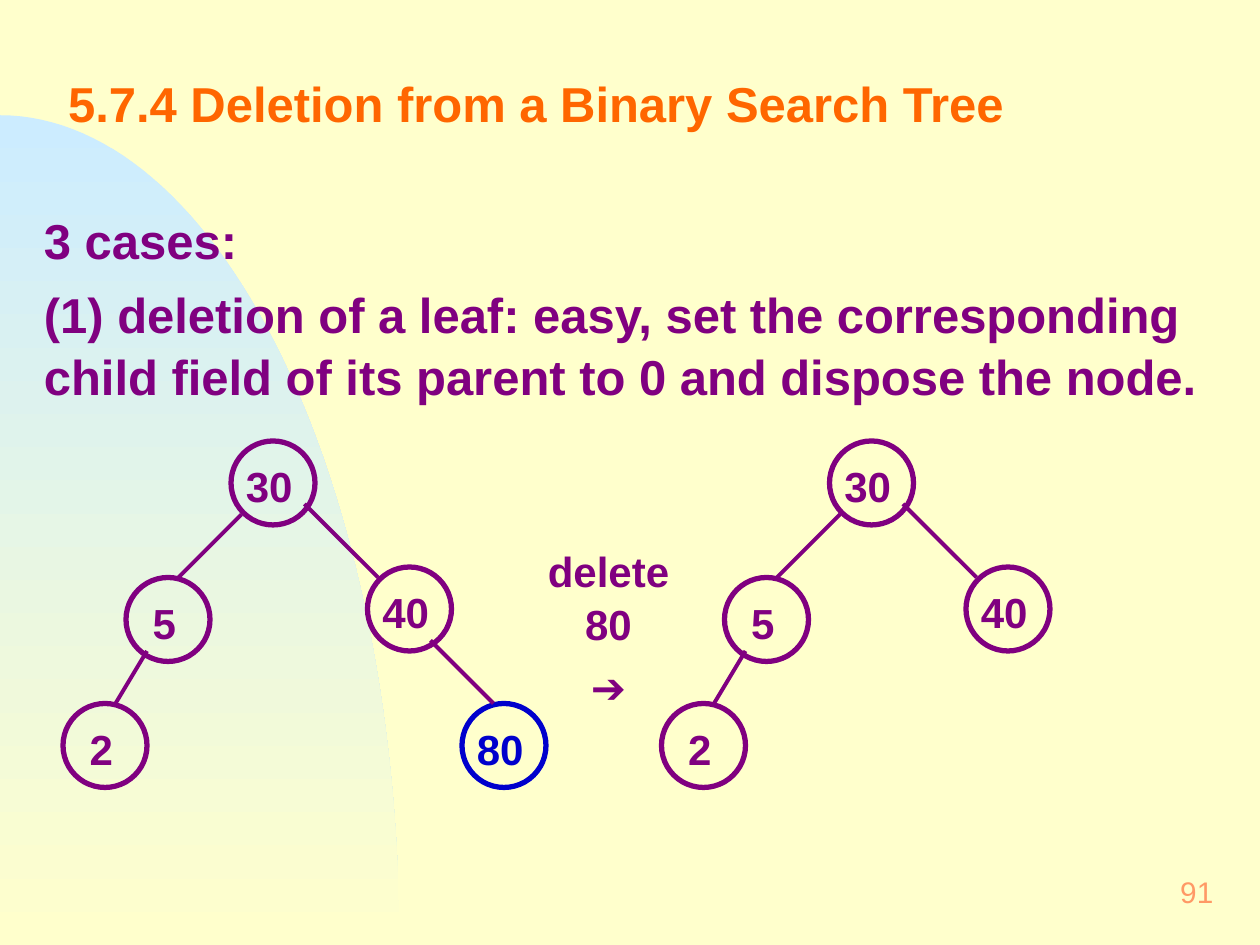
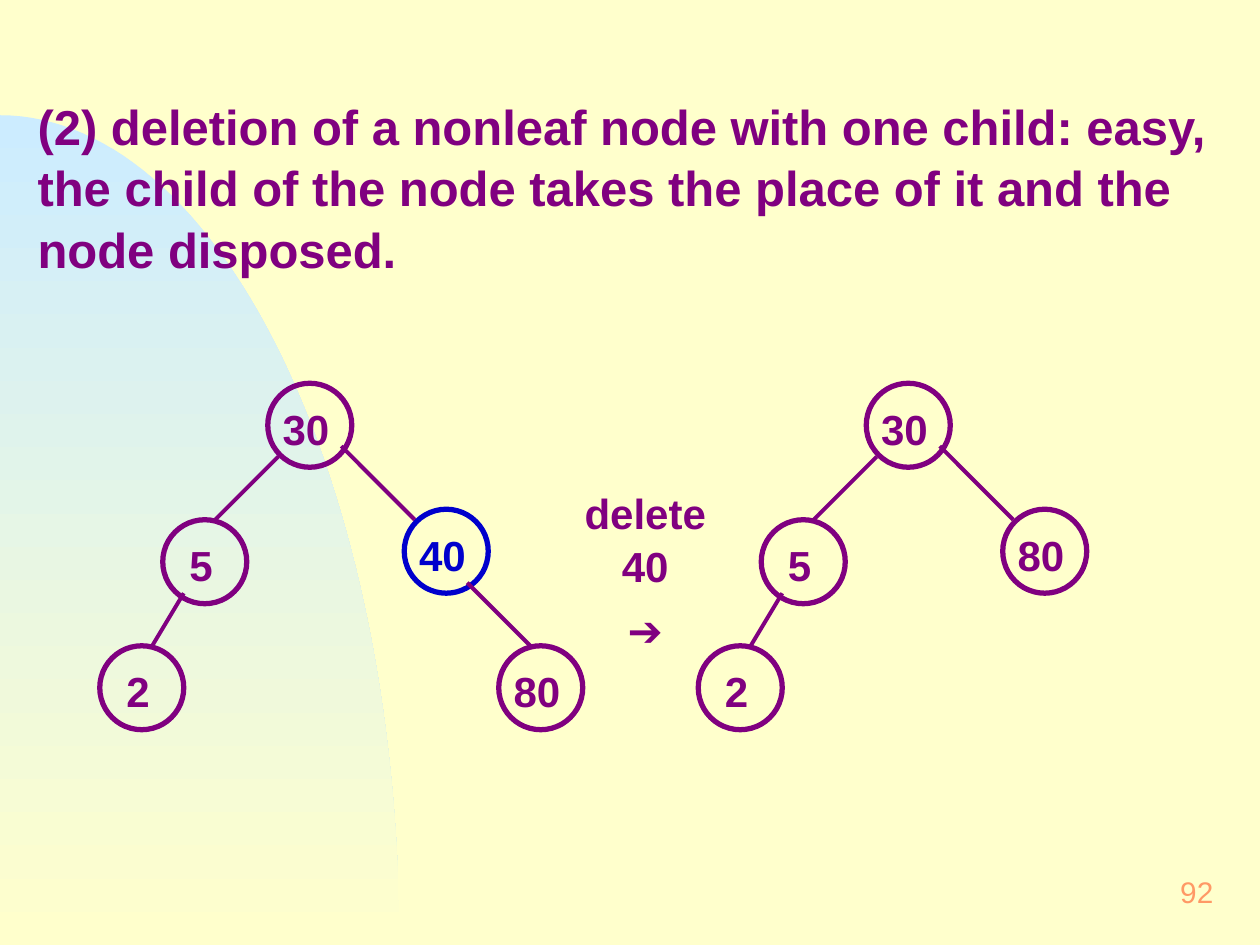
from dataclasses import dataclass
from math import cos, pi, sin

from lxml import etree
from pptx import Presentation
from pptx.dml.color import RGBColor
from pptx.enum.shapes import MSO_CONNECTOR, MSO_SHAPE
from pptx.enum.text import MSO_ANCHOR, PP_ALIGN
from pptx.oxml.ns import qn
from pptx.util import Inches, Pt

LEFT, MID, RIGHT = PP_ALIGN.LEFT, PP_ALIGN.CENTER, PP_ALIGN.RIGHT
TOP, CORE = MSO_ANCHOR.TOP, MSO_ANCHOR.MIDDLE
OVAL, LINE = MSO_SHAPE.OVAL, MSO_CONNECTOR.STRAIGHT


@dataclass(frozen=True)
class Theme:
    """Colours, type sizes and line widths of the deck."""

    font: str = "Arial"
    paper: str = "FFFFCC"
    sky: str = "CCECFF"
    head: str = "FF6600"
    ink: str = "800080"
    mark: str = "0000CC"
    foot: str = "FF9966"
    big: float = 28
    mid: float = 24
    small: float = 17
    ring: float = 3
    edge: float = 2.25


THEME = Theme()
WIDE, HIGH = 10, 7.5
CELL = 1 / 12
SIZE = 8
SHIFT = 57
SPOTS = {"root": (16, 0), "left": (6, 13), "right": (29, 12),
         "low": (0, 25), "last": (38, 25)}
EDGES = {"left": (17, 7, 11, 13), "right": (23, 6, 30, 13),
         "low": (8, 20, 5, 25), "last": (35, 19, 41, 25)}


def rgb(code):
    """Turn a hex code into a colour."""
    return RGBColor.from_string(code)


def apply(item, form):
    """Set each value of a format dict on an item."""
    for name, value in form.items():
        setattr(item, name, value)


def write(frame, lines, size, tint, bold=True, align=LEFT, gap=0, lead=1.0):
    """Fill a text frame with one paragraph per line."""
    for i, line in enumerate(lines):
        para = frame.add_paragraph() if i else frame.paragraphs[0]
        apply(para, {"text": line, "alignment": align, "line_spacing": lead,
                     "space_before": Pt(gap if i else 0)})
        apply(para.font, {"name": THEME.font, "size": Pt(size), "bold": bold})
        para.font.color.rgb = rgb(tint)


def frame_form(frame, pads, anchor):
    """Set wrapping, anchor and the four margins of a frame."""
    left, top, right, base = map(Inches, pads)
    apply(frame, {"word_wrap": True, "vertical_anchor": anchor,
                  "margin_left": left, "margin_top": top,
                  "margin_right": right, "margin_bottom": base})


def label(slide, box, lines, size, tint, anchor=TOP, pad=0.12, **form):
    """Add a text box at a place given in inches."""
    frame = slide.shapes.add_textbox(*map(Inches, box)).text_frame
    frame_form(frame, (pad, pad / 2) * 2, anchor)
    write(frame, lines, size, tint, **form)


def hill(slide):
    """Draw the shaded quarter oval in the lower left corner."""
    wide, high, steps = 0.317 * WIDE, 0.878 * HIGH, 60
    turns = [pi / 2 * i / steps for i in range(steps + 1)]
    curve = [(Inches(wide * sin(t)), Inches(HIGH - high * cos(t)))
             for t in turns]
    path = slide.shapes.build_freeform(*curve[0])
    path.add_line_segments(curve[1:] + [(0, Inches(HIGH))], close=True)
    shape = path.convert_to_shape()
    shape.shadow.inherit = False
    shape.line.fill.background()
    shape.fill.gradient()
    shape.fill.gradient_angle = 270
    for stop, tint, spot in zip(shape.fill.gradient_stops,
                                (THEME.sky, THEME.paper), (0, 1)):
        stop.color.rgb = rgb(tint)
        stop.position = spot


def node(slide, col, row, key, tint):
    """Draw a ring with its key inside."""
    place = [Inches(n * CELL) for n in (col, row, SIZE, SIZE)]
    ring = slide.shapes.add_shape(OVAL, *place)
    ring.shadow.inherit = False
    ring.fill.background()
    ring.line.color.rgb = rgb(tint)
    ring.line.width = Pt(THEME.ring)
    frame_form(ring.text_frame, (0, 0.05, 0.06, 0), CORE)
    write(ring.text_frame, [key], THEME.mid, tint, align=MID)


def link(slide, ends):
    """Draw an edge between two grid points."""
    line = slide.shapes.add_connector(
        LINE, *(Inches(n * CELL) for n in ends))
    line.line.color.rgb = rgb(THEME.ink)
    line.line.width = Pt(THEME.edge)
    etree.SubElement(line._element.spPr, qn("a:effectLst"))


def tree(slide, col, row, keys, hot=None):
    """Draw a search tree from a dict of spots and keys."""
    for spot, key in keys.items():
        x, y = SPOTS[spot]
        node(slide, col + x, row + y, key,
             THEME.mark if key == hot else THEME.ink)
    for spot in keys:
        if spot in EDGES:
            x, y, to_x, to_y = EDGES[spot]
            link(slide, (col + x, row + y, col + to_x, row + to_y))


def step(slide, col, row, hot, rest):
    """Show a tree before and after one key is deleted."""
    base = {"root": "30", "left": "5", "low": "2"}
    tree(slide, col, row, {**base, "right": "40", "last": "80"}, hot)
    box = ((col + 42) * CELL, (row + 9) * CELL, 1.66, 1.01)
    label(slide, box, [f"delete {hot}", "➔"], THEME.mid, THEME.ink,
          align=MID, gap=6, lead=1.05)
    tree(slide, col + SHIFT, row, {**base, "right": rest})


def body(slide, left, top, high, lines):
    """Add the main text of a slide."""
    label(slide, (left, top, 9.58, high), lines, THEME.big, THEME.ink,
          pad=0.1, gap=7, lead=1.05)


def page(deck, number):
    """Start a slide with its hill and page number."""
    slide = deck.slides.add_slide(deck.slide_layouts[6])
    hill(slide)
    label(slide, (7.67, 6.83, 2.08, 0.5), [str(number)], THEME.small,
          THEME.foot, CORE, bold=False, align=RIGHT)
    return slide


def main():
    """Build and save the deck."""
    deck = Presentation()
    apply(deck, {"slide_width": Inches(WIDE), "slide_height": Inches(HIGH)})
    paper = deck.slide_master.background.fill
    paper.solid()
    paper.fore_color.rgb = rgb(THEME.paper)

    leaf = page(deck, 91)
    label(leaf, (0.42, 0.32, 9.25, 1),
          ["5.7.4 Deletion from a Binary Search Tree"],
          THEME.big, THEME.head, CORE)
    body(leaf, 0.25, 1.6, 1.6, [
        "3 cases:",
        "(1) deletion of a leaf: easy, set the corresponding child field "
        "of its parent to 0 and dispose the node."])
    step(leaf, 6, 42, "80", "40")

    single = page(deck, 92)
    body(single, 0.2, 0.69, 1.5, [
        "(2) deletion of a nonleaf node with one child: easy, the child of "
        "the node takes the place of it and the node disposed."])
    step(single, 9.5, 36.5, "40", "80")

    deck.save("out.pptx")


if __name__ == "__main__":
    main()
